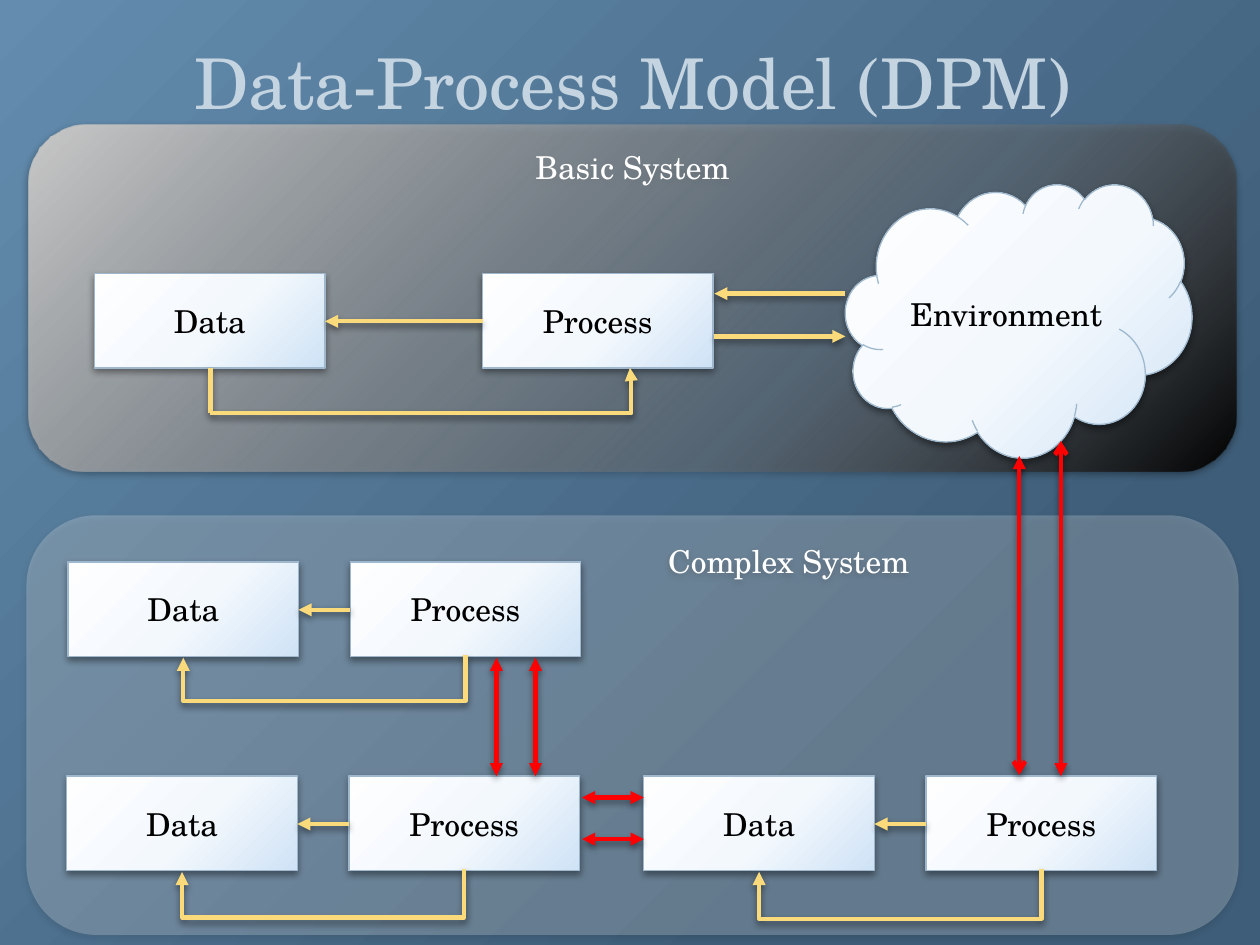
from lxml.etree import SubElement
from pptx import Presentation
from pptx.dml.color import RGBColor
from pptx.enum.shapes import MSO_CONNECTOR as LINK, MSO_SHAPE as SHAPE
from pptx.enum.text import MSO_ANCHOR as ANCHOR, PP_ALIGN as ALIGN
from pptx.oxml import parse_xml
from pptx.oxml.ns import nsdecls, qn
from pptx.util import Inches, Pt

FONT = "TeX Gyre Schola"
color = RGBColor.from_string
BOX_W, BOX_H = 1.83, 0.75
GOLD, RED = "FADA7A", "FF0000"


def paint_gradient(fill, element, stops, direction):
    fill.gradient()
    gradient = element.xpath(".//a:gradFill")[0]
    for child in list(gradient):
        gradient.remove(child)
    stop_list = SubElement(gradient, qn("a:gsLst"))
    for position, tone, alpha in stops:
        stop = SubElement(stop_list, qn("a:gs"), pos=str(position * 1000))
        tint = SubElement(stop, qn("a:srgbClr"), val=tone)
        if alpha < 100:
            SubElement(tint, qn("a:alpha"), val=str(alpha * 1000))
    gradient.append(parse_xml(direction))


def add_shadow(shape, alpha):
    shape._element.spPr.append(parse_xml(
        f'<a:effectLst {nsdecls("a")}><a:outerShdw blurRad="{Pt(4)}" dist="{Pt(2)}" '
        f'dir="5400000" rotWithShape="0"><a:srgbClr val="000000">'
        f'<a:alpha val="{alpha * 1000}"/></a:srgbClr></a:outerShdw></a:effectLst>'))


CIRCLE = (f'<a:path {nsdecls("a")} path="circle"><a:fillToRect l="%d" t="%d" '
          'r="%d" b="%d"/></a:path>')
CORNER = CIRCLE % (0, 0, 100000, 100000)
OUTSIDE = CIRCLE % (-40000, -90000, 140000, 190000)
DIAGONAL = f'<a:lin {nsdecls("a")} ang="2700000" scaled="0"/>'
PALE = [(0, "FEFEFF", 100), (55, "F3F8FD", 100), (100, "CFE3F6", 100)]
DARK = [(0, "C8C8C8", 100), (65, "767676", 41), (100, "000000", 100)]

deck = Presentation()
deck.slide_width, deck.slide_height = Inches(10), Inches(7.5)
page = deck.slides.add_slide(deck.slide_layouts[5])
paint_gradient(page.background.fill, page._element,
               [(0, "638CAE", 100), (76, "3E5D78", 100)], CORNER)

title = page.shapes.title
for name, value in {"left": 0.52, "top": 0.14, "width": 9, "height": 1.02}.items():
    setattr(title, name, Inches(value))

labels = [(title, "Data-Process Model (DPM)", 40, "C5D4E1", ANCHOR.MIDDLE)]

panels = [
    ("Complex System", 0.21, 4.09, 9.62, 3.33, 2.58),
    ("Basic System", 0.23, 0.99, 9.58, 2.75, 0.1),
]
for text, left, top, width, height, margin in panels:
    panel = page.shapes.add_shape(SHAPE.ROUNDED_RECTANGLE, Inches(left), Inches(top),
                                  Inches(width), Inches(height))
    panel.line.fill.background()
    panel.text_frame.margin_left = Inches(margin)
    if text == "Basic System":
        paint_gradient(panel.fill, panel._element, DARK, DIAGONAL)
    else:
        panel.fill.solid()
        panel.fill.fore_color.rgb = color("FFFFFF")
        tint = panel._element.spPr.xpath("./a:solidFill/a:srgbClr")[0]
        SubElement(tint, qn("a:alpha"), val="22000")
    add_shadow(panel, 40)
    labels.append((panel, text, 18, "FFFFFF", ANCHOR.TOP))

nodes = [("Environment", SHAPE.CLOUD, 6.71, 1.46, 2.75, 2.17)]
links = [
    (6.71, 2.33, 5.67, 2.33, GOLD, None, "triangle"),
    (5.67, 2.67, 6.71, 2.67, GOLD, None, "triangle"),
    (1.67, 2.92, 1.67, 3.28, GOLD, None, None),
    (5.11, 6.33, 4.62, 6.33, RED, "triangle", "triangle"),
    (4.62, 6.66, 5.11, 6.66, RED, "triangle", "triangle"),
    (4.25, 6.16, 4.25, 5.22, RED, "triangle", "triangle"),
    (3.94, 5.22, 3.94, 6.16, RED, "triangle", "triangle"),
    (8.42, 6.16, 8.42, 3.5, RED, "triangle", "arrow"),
    (8.09, 3.62, 8.09, 6.15, RED, "triangle", "arrow"),
]
bends = [(1.67, 3.28, 5, 2.92, 0, 100300)]

pairs = [
    (0.75, 3.83, 2.17, None),
    (0.53, 2.77, 6.16, 0.38),
    (5.11, 7.35, 6.16, 0.39),
    (0.54, 2.78, 4.46, 0.36),
]
for data_left, process_left, top, depth in pairs:
    nodes.append(("Data", SHAPE.RECTANGLE, data_left, top, BOX_W, BOX_H))
    nodes.append(("Process", SHAPE.RECTANGLE, process_left, top, BOX_W, BOX_H))
    middle = top + 0.38
    links.append((process_left, middle, data_left + BOX_W, middle, GOLD, None, "triangle"))
    if depth:
        center = (data_left + process_left + BOX_W) / 2
        bottom = top + BOX_H
        reach = (process_left - data_left) / 2
        bends.append((center - 0.01, bottom - reach, center + 0.01, bottom + reach,
                      90, round(depth / 0.02 * 100000)))

for text, kind, left, top, width, height in nodes:
    node = page.shapes.add_shape(kind, Inches(left), Inches(top),
                                 Inches(width), Inches(height))
    paint_gradient(node.fill, node._element, PALE, OUTSIDE)
    node.line.color.rgb = color("9FB8CD")
    node.line.width = Pt(0.75)
    add_shadow(node, 40)
    labels.append((node, text, 18, "000000", ANCHOR.MIDDLE))

for shape, text, size, tone, anchor in labels:
    frame = shape.text_frame
    frame.word_wrap = True
    frame.vertical_anchor = anchor
    para = frame.paragraphs[0]
    para.alignment = ALIGN.CENTER
    span = para.add_run()
    span.text = text
    for name, value in {"name": FONT, "size": Pt(size)}.items():
        setattr(span.font, name, value)
    span.font.color.rgb = color(tone)

routes = [(LINK.STRAIGHT, *link, 0, None) for link in links]
routes += [(LINK.ELBOW, *bend[:4], GOLD, None, "triangle", *bend[4:]) for bend in bends]
for kind, x1, y1, x2, y2, tone, head, tail, turn, bend_at in routes:
    link = page.shapes.add_connector(kind, Inches(x1), Inches(y1), Inches(x2), Inches(y2))
    link.line.color.rgb = color(tone)
    link.line.width = Pt(2.5)
    for tag, style in {"a:headEnd": head, "a:tailEnd": tail}.items():
        if style:
            SubElement(link.line._get_or_add_ln(), qn(tag), type=style)
    properties = link._element.spPr
    if turn:
        properties.find(qn("a:xfrm")).set("rot", str(turn * 60000))
    if bend_at:
        guides = properties.xpath("./a:prstGeom/a:avLst")[0]
        SubElement(guides, qn("a:gd"), name="adj1", fmla=f"val {bend_at}")
    add_shadow(link, 45)

deck.save("out.pptx")
